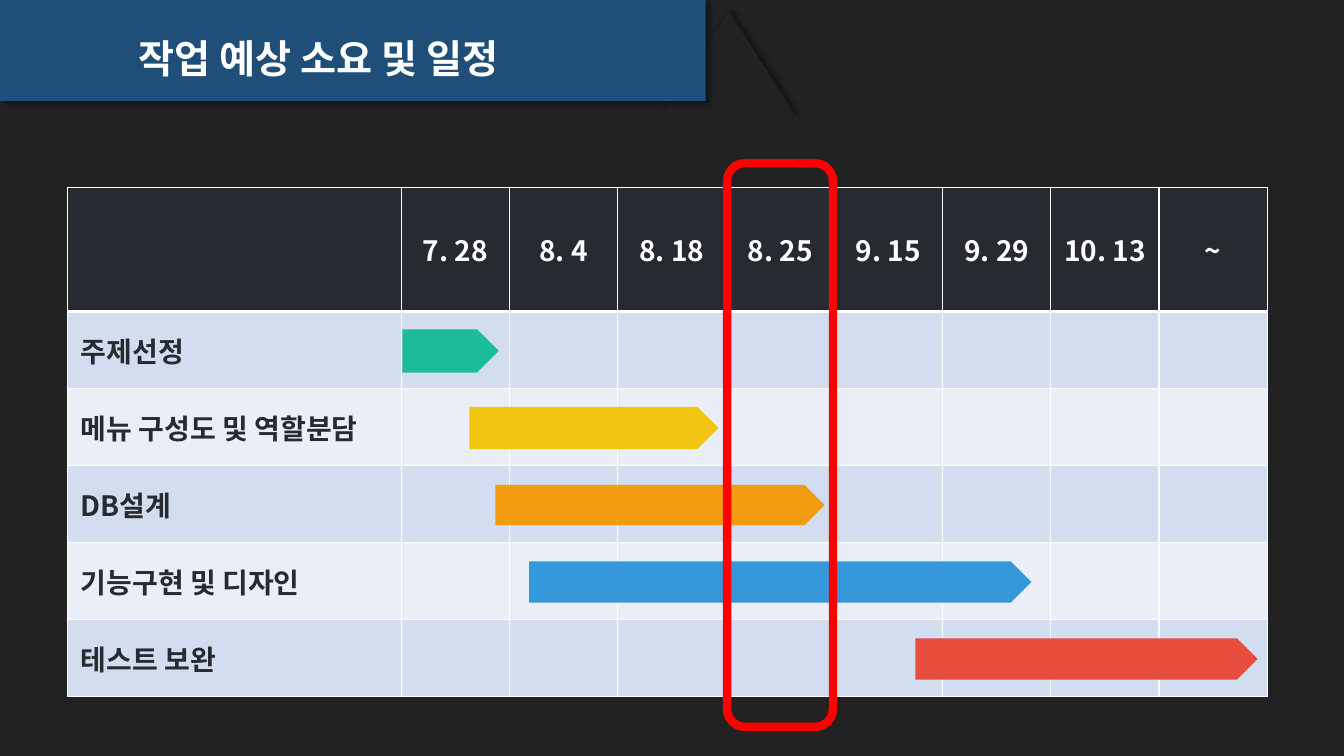
from lxml.etree import SubElement
from pptx import Presentation
from pptx.dml.color import RGBColor
from pptx.enum.shapes import MSO_SHAPE
from pptx.enum.text import MSO_ANCHOR, PP_ALIGN
from pptx.oxml import parse_xml
from pptx.oxml.ns import nsdecls, qn
from pptx.util import Inches, Pt

TITLE = "작업 예상 소요 및 일정"
DATES = ["7. 28", "8. 4", "8. 18", "8. 25", "9. 15", "9. 29", "10. 13", "~"]
# task, first and last position in date columns, bar height, colour
TASKS = [
    ("주제선정", 0.01, 0.9, 0.43, "green"),
    ("메뉴 구성도 및 역할분담", 0.63, 2.93, 0.42, "yellow"),
    ("DB설계", 0.87, 3.91, 0.4, "orange"),
    ("기능구현 및 디자인", 1.18, 5.82, 0.41, "blue"),
    ("테스트 보완", 4.75, 7.91, 0.41, "red"),
]
MARKED_DATE = DATES.index("8. 25")
FONT = "Noto Sans CJK KR"
COLORS = {
    "background": "222222", "banner": "1F4E79", "header": "272A31",
    "odd": "D2DEEF", "even": "EAEFF7", "white": "FFFFFF", "marker": "FF0000",
    "green": "1ABC9C", "yellow": "F1C40F", "orange": "F39C12",
    "blue": "3498DB", "red": "E74C3C",
}

# Grid, in inches
LEFT, TOP, WIDTH, HEIGHT = 0.67, 1.86, 11.9, 5.05
LABEL_WIDTH, HEADER_HEIGHT = 3.31, 1.23
DATE_WIDTH = (WIDTH - LABEL_WIDTH) / len(DATES)
TASK_HEIGHT = (HEIGHT - HEADER_HEIGHT) / len(TASKS)
DATES_LEFT = LEFT + LABEL_WIDTH
TASKS_TOP = TOP + HEADER_HEIGHT


def color(name):
    return RGBColor.from_string(COLORS[name])


def paint(shape, name):
    shape.shadow.inherit = False
    shape.fill.solid()
    shape.fill.fore_color.rgb = color(name)
    shape.line.fill.background()


def cast_shadow(shape, degrees):
    effects = shape._element.spPr.find(qn("a:effectLst"))
    effects.append(parse_xml(
        f'<a:outerShdw {nsdecls("a")} blurRad="{Pt(4)}" dist="{Pt(3)}" '
        f'dir="{degrees * 60000}" algn="ctr" rotWithShape="0">'
        '<a:srgbClr val="000000"><a:alpha val="40000"/></a:srgbClr></a:outerShdw>'))


def add_preset(page, kind, left, top, width, height):
    return page.shapes.add_shape(
        kind, Inches(left), Inches(top), Inches(width), Inches(height))


def write(frame, text, size, name):
    frame.text = text
    for span in frame.paragraphs[0].runs:
        span.font.size = Pt(size)
        span.font.bold = True
        span.font.name = FONT
        span.font.color.rgb = color(name)
        SubElement(span._r.get_or_add_rPr(), qn("a:ea"), typeface=FONT)


def style_cell(cell, fill, top=1, bottom=1):
    cell.fill.solid()
    cell.fill.fore_color.rgb = color(fill)
    cell.vertical_anchor = MSO_ANCHOR.MIDDLE
    cell.margin_top = cell.margin_bottom = Inches(0.07)
    sides = {"lnL": 1, "lnR": 1, "lnT": top, "lnB": bottom}
    for position, (side, points) in enumerate(sides.items()):
        cell._tc.get_or_add_tcPr().insert(position, parse_xml(
            f'<a:{side} {nsdecls("a")} w="{Pt(points)}"><a:solidFill>'
            f'<a:srgbClr val="{COLORS["white"]}"/></a:solidFill></a:{side}>'))


def add_banner(page):
    fold = add_preset(page, MSO_SHAPE.ISOSCELES_TRIANGLE, 6.57, 0.11, 1.32, 1.04)
    paint(fold, "background")
    cast_shadow(fold, 315)
    outline = page.shapes.build_freeform(0, 0, scale=Inches(1))
    outline.add_line_segments([(7.43, 0), (6.55, 1.15), (1.55, 1.14), (0, 1.14)])
    banner = outline.convert_to_shape()
    paint(banner, "banner")
    cast_shadow(banner, 45)


def add_title(page):
    box = page.shapes.add_textbox(
        Inches(1.28), Inches(0.29), Inches(3.83), Inches(0.57))
    box.text_frame.word_wrap = True
    write(box.text_frame, TITLE, 28, "white")


def add_schedule(page):
    table = page.shapes.add_table(
        len(TASKS) + 1, len(DATES) + 1,
        Inches(LEFT), Inches(TOP), Inches(WIDTH), Inches(HEIGHT)).table
    table.first_row = table.horz_banding = False
    for index, column in enumerate(table.columns):
        column.width = Inches(DATE_WIDTH if index else LABEL_WIDTH)
    for index, row in enumerate(table.rows):
        row.height = Inches(TASK_HEIGHT if index else HEADER_HEIGHT)
        for cell in row.cells:
            if index == 0:
                style_cell(cell, "header", bottom=3)
            else:
                style_cell(cell, "odd" if index % 2 else "even",
                           top=3 if index == 1 else 1)
    for index, date in enumerate(DATES, 1):
        cell = table.cell(0, index)
        cell.margin_left = cell.margin_right = 0
        write(cell.text_frame, date, 20, "white")
        cell.text_frame.paragraphs[0].alignment = PP_ALIGN.CENTER
    for index, task in enumerate(TASKS, 1):
        cell = table.cell(index, 0)
        cell.margin_left = cell.margin_right = Inches(0.13)
        write(cell.text_frame, task[0], 20, "header")


def add_bars(page):
    for index, (_, start, end, height, fill) in enumerate(TASKS):
        middle = TASKS_TOP + (index + 0.5) * TASK_HEIGHT + 0.01
        bar = add_preset(page, MSO_SHAPE.PENTAGON,
                         DATES_LEFT + start * DATE_WIDTH, middle - height / 2,
                         (end - start) * DATE_WIDTH, height)
        paint(bar, fill)


def add_marker(page):
    marker = add_preset(page, MSO_SHAPE.ROUNDED_RECTANGLE,
                        DATES_LEFT + MARKED_DATE * DATE_WIDTH + 0.01,
                        TOP - 0.24, 1.05, HEIGHT + 0.54)
    marker.shadow.inherit = False
    marker.fill.background()
    marker.line.color.rgb = color("marker")
    marker.line.width = Pt(6)


def main():
    deck = Presentation()
    deck.slide_width, deck.slide_height = Inches(13.33), Inches(7.5)
    page = deck.slides.add_slide(deck.slide_layouts[6])
    page.background.fill.solid()
    page.background.fill.fore_color.rgb = color("background")
    add_banner(page)
    add_schedule(page)
    add_bars(page)
    add_title(page)
    add_marker(page)
    deck.save("out.pptx")


if __name__ == "__main__":
    main()
